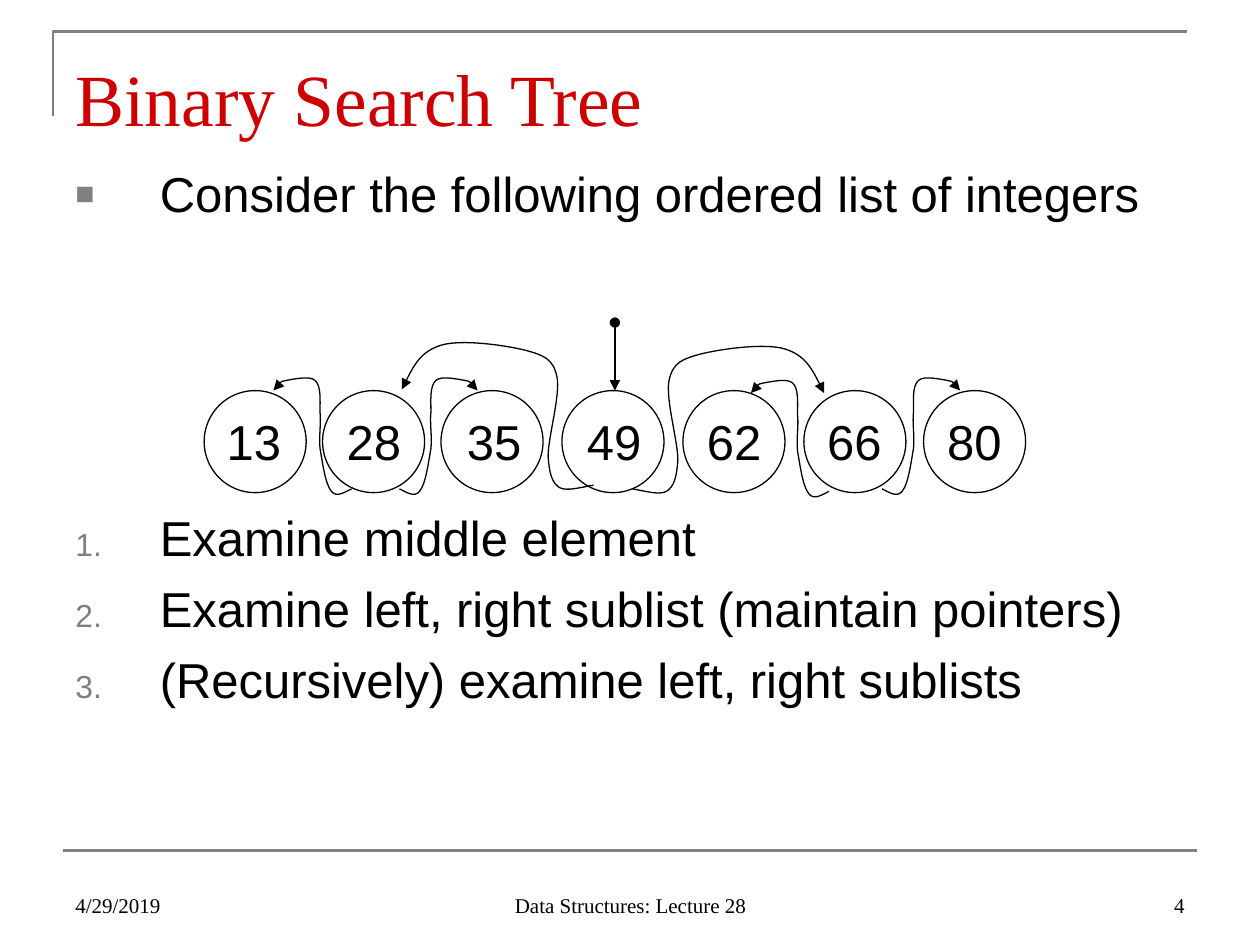
from lxml.etree import SubElement
from pptx import Presentation
from pptx.dml.color import RGBColor
from pptx.enum.shapes import MSO_CONNECTOR, MSO_SHAPE
from pptx.enum.text import MSO_ANCHOR, PP_ALIGN
from pptx.oxml.ns import qn
from pptx.util import Inches, Pt

COLORS = {"text": "000000", "title": "CC0000", "rule": "808080"}
SERIF, SANS = "Times New Roman", "Arial"

VALUES = [13, 28, 35, 49, 62, 66, 80]
CIRCLE_LEFTS = [1.62, 2.56, 3.5, 4.46, 5.42, 6.38, 7.33]
LABEL_LEFT, LABEL_PITCH = 1.54, 0.953

# Bezier points of a pointer to the right, as offsets from its start
LONG_POINTER = [
    (0.11, 0.02), (0.21, 0.05), (0.27, 0.02),
    (0.33, -0.02), (0.35, -0.09), (0.36, -0.23),
    (0.36, -0.38), (0.26, -0.72), (0.29, -0.86),
    (0.32, -1.0), (0.39, -1.03), (0.54, -1.07),
    (0.7, -1.11), (1.05, -1.16), (1.21, -1.11),
    (1.37, -1.06), (1.45, -0.91), (1.52, -0.76),
]
SHORT_POINTER = [
    (0.06, 0.03), (0.12, 0.07), (0.16, 0.02),
    (0.21, -0.04), (0.23, -0.21), (0.25, -0.32),
    (0.26, -0.42), (0.24, -0.52), (0.25, -0.61),
    (0.25, -0.7), (0.24, -0.82), (0.29, -0.86),
    (0.33, -0.9), (0.46, -0.87), (0.52, -0.86),
    (0.57, -0.85), (0.6, -0.81), (0.62, -0.78),
]
# Start x, start y, direction (1 right, -1 left), curve
POINTERS = [
    (4.71, 3.85, -1, LONG_POINTER),
    (5.02, 3.88, 1, LONG_POINTER),
    (3.17, 3.88, 1, SHORT_POINTER),
    (7.0, 3.88, 1, SHORT_POINTER),
    (2.79, 3.88, -1, SHORT_POINTER),
    (6.58, 3.9, -1, SHORT_POINTER),
]


def rgb(name):
    return RGBColor.from_string(COLORS[name])


def add_bullet(p, tag, **attrs):
    """Give the paragraph a small grey hanging bullet or number."""
    pPr = p._p.get_or_add_pPr()
    pPr.set("marL", str(Inches(0.67)))
    pPr.set("indent", str(-Inches(0.67)))
    color = SubElement(pPr, qn("a:buClr"))
    SubElement(color, qn("a:srgbClr"), val=COLORS["rule"])
    SubElement(pPr, qn("a:buSzPct"), val="65000")
    SubElement(pPr, qn("a:buFont"), typeface=SANS)
    SubElement(pPr, qn(tag), **attrs)


def write(p, text, size=28, font=SANS, color="text", align=PP_ALIGN.LEFT, before=0):
    p.alignment = align
    p.space_before = Pt(before)
    r = p.add_run()
    r.text = text
    r.font.size = Pt(size)
    r.font.name = font
    r.font.color.rgb = rgb(color)


class SlideBuilder:
    def __init__(self, slide):
        self.shapes = slide.shapes

    def style_line(self, sp, color="text", width=0.75, head=None, tail=None):
        sp.line.color.rgb = rgb(color)
        sp.line.width = Pt(width)
        ln = sp.line._get_or_add_ln()
        for tag, kind in (("a:headEnd", head), ("a:tailEnd", tail)):
            if kind:
                SubElement(ln, qn(tag), type=kind)

    def box(self, x, y, w, h, anchor=MSO_ANCHOR.TOP):
        tb = self.shapes.add_textbox(Inches(x), Inches(y), Inches(w), Inches(h))
        tf = tb.text_frame
        tf.word_wrap = True
        tf.vertical_anchor = anchor
        return tf

    def text(self, text, x, y, w, h, anchor=MSO_ANCHOR.TOP, **fmt):
        tf = self.box(x, y, w, h, anchor)
        write(tf.paragraphs[0], text, **fmt)
        return tf

    def bullets(self, items, x, y, w, h, tag, **attrs):
        tf = self.box(x, y, w, h)
        for i, item in enumerate(items):
            p = tf.add_paragraph() if i else tf.paragraphs[0]
            add_bullet(p, tag, **attrs)
            write(p, item, before=7 if i else 0)

    def circle(self, x, y, size):
        sp = self.shapes.add_shape(
            MSO_SHAPE.OVAL, Inches(x), Inches(y), Inches(size), Inches(size))
        sp.shadow.inherit = False
        sp.fill.background()
        self.style_line(sp)

    def line(self, x1, y1, x2, y2, **style):
        cn = self.shapes.add_connector(
            MSO_CONNECTOR.STRAIGHT, Inches(x1), Inches(y1), Inches(x2), Inches(y2))
        self.style_line(cn, **style)
        SubElement(cn._element.spPr, qn("a:effectLst"))

    def polyline(self, points, **style):
        start, *rest = [(Inches(x), Inches(y)) for x, y in points]
        builder = self.shapes.build_freeform(*start)
        builder.add_line_segments(rest, close=False)
        sp = builder.convert_to_shape()
        sp.shadow.inherit = False
        sp.fill.background()
        self.style_line(sp, **style)
        return sp

    def curve(self, points, **style):
        """Draw a polyline, then join each three segments into a cubic Bezier."""
        sp = self.polyline(points, **style)
        path = next(sp._element.iter(qn("a:path")))
        segments = path.findall(qn("a:lnTo"))
        for i in range(0, len(segments), 3):
            bezier = SubElement(path, qn("a:cubicBezTo"))
            for segment in segments[i:i + 3]:
                bezier.append(segment[0])
                path.remove(segment)


def main():
    prs = Presentation()
    prs.slide_width, prs.slide_height = Inches(10), Inches(7.5)
    s = SlideBuilder(prs.slides.add_slide(prs.slide_layouts[6]))

    s.polyline([(0.42, 0.92), (0.42, 0.25), (9.42, 0.25)], color="rule", width=1.5)
    s.line(0.5, 6.75, 9.5, 6.75, color="rule", width=1.5)

    for text, x, w, align in (
        ("4/29/2019", 0.5, 2.33, PP_ALIGN.LEFT),
        ("Data Structures: Lecture 28", 3.42, 3.17, PP_ALIGN.CENTER),
        ("4", 7.17, 2.33, PP_ALIGN.RIGHT),
    ):
        s.text(text, x, 6.83, w, 0.5, anchor=MSO_ANCHOR.BOTTOM,
               size=12, font=SERIF, align=align)

    title = s.text("Binary Search Tree", 0.5, 0.3, 9, 0.78,
                   size=42, font=SERIF, color="title")
    title.margin_top, title.margin_bottom = Inches(0.12), 0

    s.bullets(["Consider the following ordered list of integers"],
              0.5, 1.25, 9, 0.6, "a:buChar", char="■")
    s.bullets(["Examine middle element",
               "Examine left, right sublist (maintain pointers)",
               "(Recursively) examine left, right sublists"],
              0.5, 3.98, 9, 2.72, "a:buAutoNum", type="arabicPeriod")

    for i, (value, left) in enumerate(zip(VALUES, CIRCLE_LEFTS)):
        s.text(str(value), LABEL_LEFT + i * LABEL_PITCH, 3.22, 0.95, 0.63,
               align=PP_ALIGN.CENTER)
        s.circle(left, 3.1, 0.81)

    s.line(4.88, 2.56, 4.88, 3.1, head="oval", tail="triangle")
    for x, y, direction, offsets in POINTERS:
        points = [(x + direction * dx, y + dy) for dx, dy in [(0, 0), *offsets]]
        s.curve(points, tail="triangle")

    prs.save("out.pptx")


if __name__ == "__main__":
    main()
